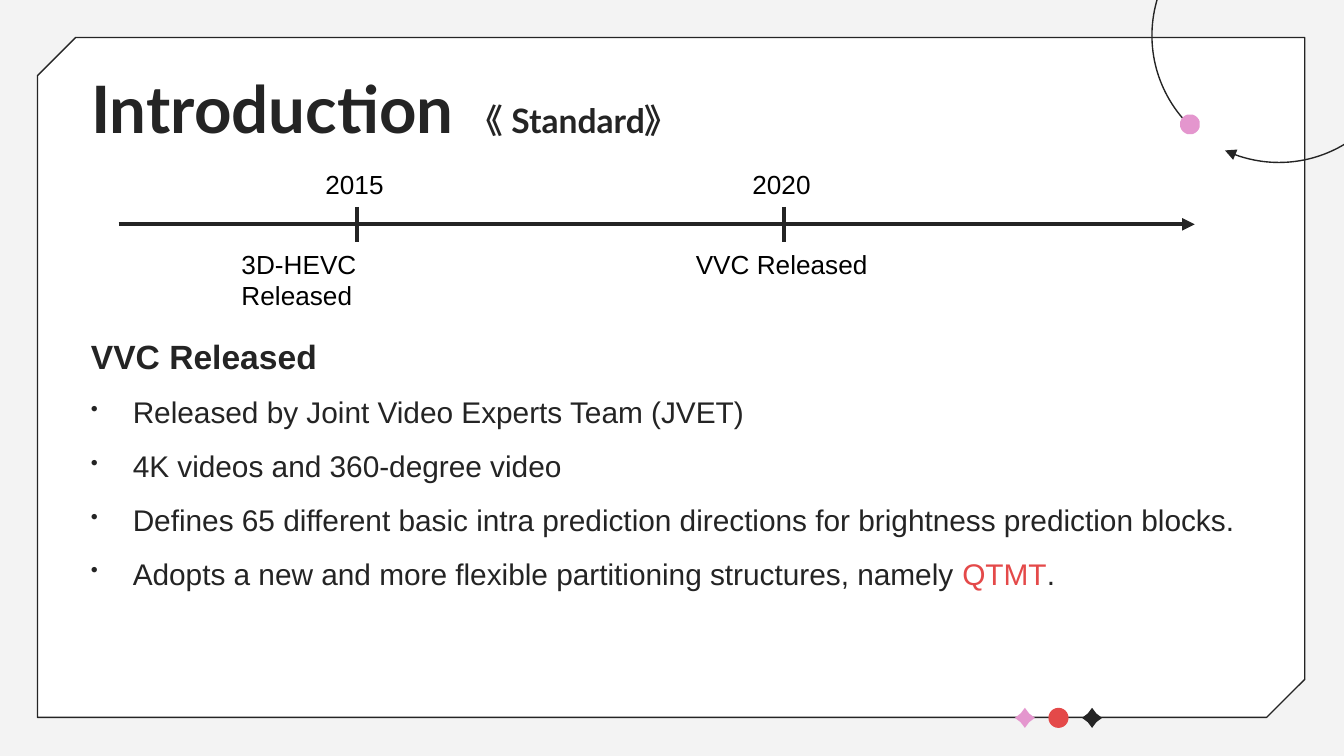
from dataclasses import dataclass
from typing import NamedTuple

from lxml.etree import SubElement
from pptx import Presentation
from pptx.dml.color import RGBColor
from pptx.enum.shapes import MSO_CONNECTOR as Connector, MSO_SHAPE as Shape
from pptx.enum.text import MSO_ANCHOR as Anchor, MSO_AUTO_SIZE as AutoSize, PP_ALIGN as Align
from pptx.oxml.ns import qn
from pptx.util import Cm, Pt


@dataclass(frozen=True)
class Theme:
    background: str = "F3F3F3"
    card: str = "FFFFFF"
    ink: str = "242424"
    label: str = "000000"
    pink: str = "E496CE"
    red: str = "E44949"
    title_size: float = 35
    heading_size: float = 18
    bullet_size: float = 16
    label_size: float = 14
    thin: float = 0.75
    thick: float = 2.25
    title_font: str = "Lato"
    bracket_font: str = "Noto Sans CJK TC"
    body_font: str = "Arial"


class Box(NamedTuple):
    """A region in centimetres."""
    left: float
    top: float
    width: float
    height: float

    def lengths(self):
        return [Cm(value) for value in self]


THEME = Theme()

EVENTS = [  # position along the axis, year, event, width of the event label
    (4.51, "2015", "3D-HEVC Released", 4.87),
    (12.58, "2020", "VVC Released", 3.84),
]
HEADING = "VVC Released"
BULLETS = [
    [("Released by Joint Video Experts Team (JVET)", THEME.ink)],
    [("4K videos and 360-degree video", THEME.ink)],
    [("Defines 65 different basic intra prediction directions for brightness prediction blocks.", THEME.ink)],
    [("Adopts a new and more flexible partitioning structures, namely ", THEME.ink),
     ("QTMT", THEME.red), (".", THEME.ink)],
]


def style_line(line, width, arrow=False):
    line.color.rgb = RGBColor.from_string(THEME.ink)
    line.width = Pt(width)
    if arrow:
        SubElement(line._get_or_add_ln(), qn("a:tailEnd"), type="triangle")


def add_figure(shapes, preset, box, fill=None, outlined=False, arrow=False):
    figure = shapes.add_shape(preset, *box.lengths())
    figure.shadow.inherit = False
    if fill:
        figure.fill.solid()
        figure.fill.fore_color.rgb = RGBColor.from_string(fill)
    else:
        figure.fill.background()
    if outlined:
        style_line(figure.line, THEME.thin, arrow)
    else:
        figure.line.fill.background()
    return figure


def add_line(shapes, x1, y1, x2, y2, arrow=False):
    line = shapes.add_connector(Connector.STRAIGHT, Cm(x1), Cm(y1), Cm(x2), Cm(y2))
    style_line(line.line, THEME.thick, arrow)
    SubElement(line._element.spPr, qn("a:effectLst"))


def add_span(para, text, font, size, color, bold=False):
    span = para.add_run()
    span.text = text
    span.font.name = font
    span.font.size = Pt(size)
    span.font.bold = bold
    span.font.color.rgb = RGBColor.from_string(color)
    return span


def set_margins(frame, margin):
    frame.margin_left = frame.margin_right = Cm(margin)
    frame.margin_top = frame.margin_bottom = Cm(margin)


def add_card(page, box):
    card = add_figure(page.shapes, Shape.SNIP_2_DIAG_RECTANGLE, box, THEME.card, outlined=True)
    card.adjustments[0] = 0.056
    card.adjustments[1] = 0


def add_ornaments(page, box):
    """Place a row of star, dot and star, spread evenly over the box."""
    group = page.shapes.add_group_shape()
    marks = [(Shape.STAR_4_POINT, THEME.pink), (Shape.OVAL, THEME.red), (Shape.STAR_4_POINT, THEME.ink)]
    pitch = (box.width - box.height) / (len(marks) - 1)
    for index, (preset, color) in enumerate(marks):
        place = Box(box.left + index * pitch, box.top, box.height, box.height)
        mark = add_figure(group.shapes, preset, place, color)
        if preset == Shape.STAR_4_POINT:
            mark.adjustments[0] = 0.303


def add_orbit(page, box):
    """Draw the open circle with an arrowhead and a dot at its start."""
    group = page.shapes.add_group_shape()
    arc = add_figure(group.shapes, Shape.ARC, box, outlined=True, arrow=True)
    arc.adjustments[0] = 162
    arc.adjustments[1] = 150.08
    arc.rotation = 225
    dot = Box(box.left + 0.53, box.top + 3.89, 0.38, 0.38)
    add_figure(group.shapes, Shape.OVAL, dot, THEME.pink).rotation = 315


def add_title(page, box):
    title = page.shapes.title
    page.shapes._spTree.append(title._element)  # in front of the card
    title.left, title.top, title.width, title.height = box.lengths()
    frame = title.text_frame
    frame.auto_size = AutoSize.NONE
    frame.vertical_anchor = Anchor.TOP
    set_margins(frame, 0.25)
    para = frame.paragraphs[0]
    para.alignment = Align.LEFT
    add_span(para, "Introduction ", THEME.title_font, THEME.title_size, THEME.ink, True)
    for text, font in [("《", THEME.bracket_font), (" Standard", THEME.title_font), ("》", THEME.bracket_font)]:
        span = add_span(para, text, font, THEME.heading_size, THEME.ink, True)
        SubElement(span.font._element, qn("a:ea"), typeface=font)


def add_label(page, text, center, top, width):
    label = page.shapes.add_textbox(*Box(center - width / 2, top, width, 0.86).lengths())
    label.text_frame.word_wrap = True
    label.text_frame.auto_size = AutoSize.SHAPE_TO_FIT_TEXT
    add_span(label.text_frame.paragraphs[0], text, THEME.body_font, THEME.label_size, THEME.label)


def add_timeline(page, box):
    axis = box.top + 1.19
    tick = 0.33
    add_line(page.shapes, box.left, axis, box.left + box.width, axis, arrow=True)
    for offset, year, event, width in EVENTS:
        center = box.left + offset
        add_line(page.shapes, center, axis - tick, center, axis + tick)
        add_label(page, year, center, box.top, 1.7)
        add_label(page, event, center, axis + tick, width)


def add_bullet(para, indent):
    para.level = 1
    properties = para._p.get_or_add_pPr()
    properties.set("marL", str(Cm(indent)))
    properties.set("indent", str(-Cm(indent)))
    color = SubElement(properties, qn("a:buClr"))
    SubElement(color, qn("a:srgbClr"), val=THEME.ink)
    SubElement(properties, qn("a:buSzPct"), val="70000")
    SubElement(properties, qn("a:buChar"), char="•")


def add_body(page, box):
    frame = page.shapes.add_textbox(*box.lengths()).text_frame
    frame.word_wrap = True
    set_margins(frame, 0.25)
    heading = frame.paragraphs[0]
    heading.line_spacing = 1.5
    add_span(heading, HEADING, THEME.body_font, THEME.heading_size, THEME.ink, True)
    for parts in BULLETS:
        para = frame.add_paragraph()
        para.line_spacing = 1.5
        add_bullet(para, 0.79)
        for text, color in parts:
            add_span(para, text, THEME.body_font, THEME.bullet_size, color)


def main():
    deck = Presentation()
    deck.slide_width, deck.slide_height = Cm(25.4), Cm(14.29)
    page = deck.slides.add_slide(deck.slide_layouts.get_by_name("Title Only"))
    page.background.fill.solid()
    page.background.fill.fore_color.rgb = RGBColor.from_string(THEME.background)
    add_card(page, Box(0.71, 0.71, 23.95, 12.85))
    add_ornaments(page, Box(19.18, 13.38, 1.65, 0.38))
    add_orbit(page, Box(21.77, -1.73, 4.8, 4.8))
    add_title(page, Box(1.47, 1.04, 21.41, 1.6))
    add_timeline(page, Box(2.24, 3.05, 20.34, 2.38))
    add_body(page, Box(1.47, 5.72, 22.48, 5.36))
    deck.save("out.pptx")


if __name__ == "__main__":
    main()
